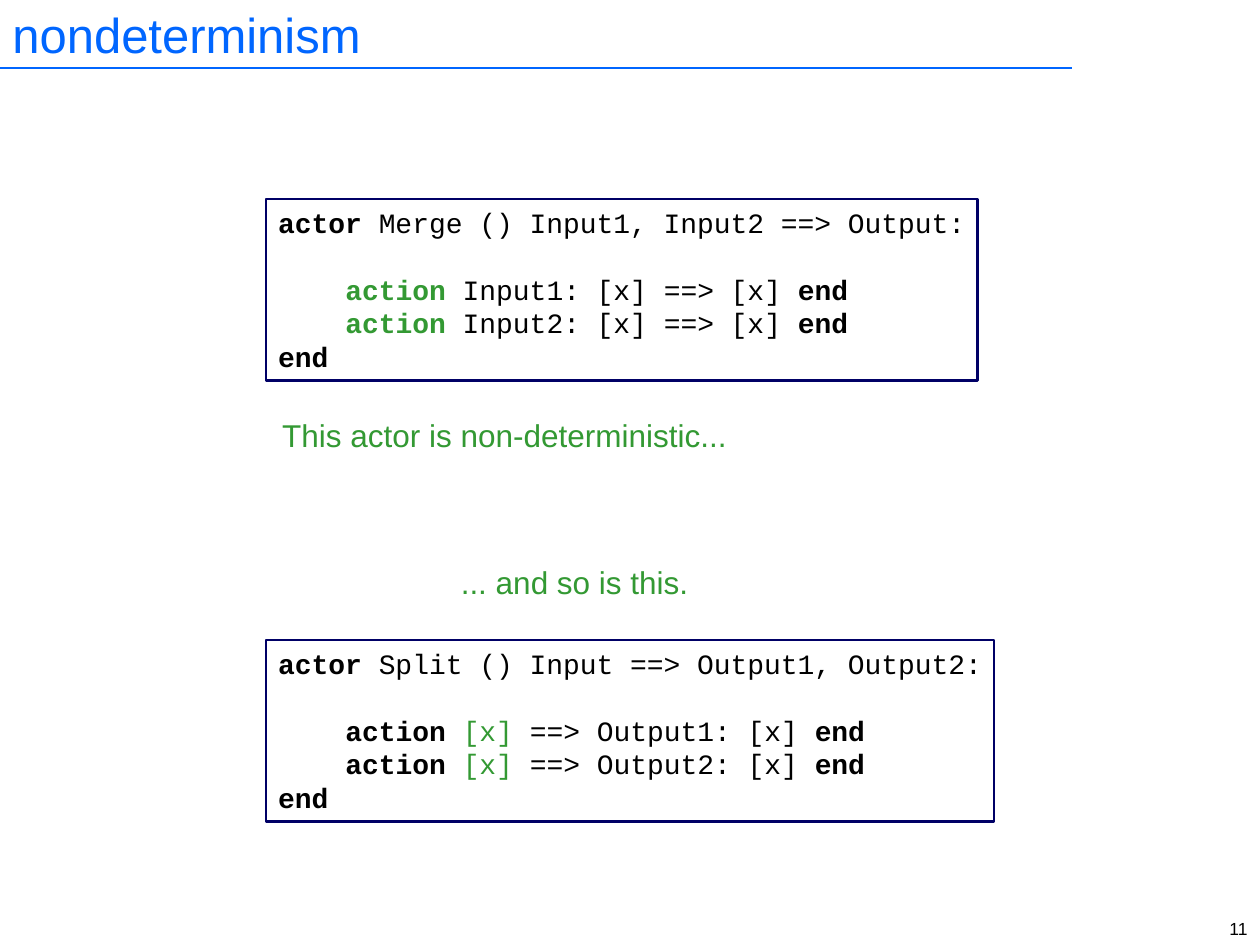
from pptx import Presentation
from pptx.dml.color import RGBColor
from pptx.enum.shapes import MSO_CONNECTOR, MSO_SHAPE
from pptx.enum.text import MSO_ANCHOR, PP_ALIGN
from pptx.oxml.ns import qn
from pptx.util import Cm, Pt
from lxml import etree

LINE, RECT = MSO_CONNECTOR.STRAIGHT, MSO_SHAPE.RECTANGLE
TOP, MID = MSO_ANCHOR.TOP, MSO_ANCHOR.MIDDLE
LEFT, RIGHT = PP_ALIGN.LEFT, PP_ALIGN.RIGHT

THEME = {
    "blue": "0066FF", "navy": "000066", "green": "339933",
    "black": "000000", "white": "FFFFFF",
    "sans": "Arial", "mono": "Courier New",
    "title": 28, "note": 18, "code": 16, "page": 10,
    "pitch": 19.2,  # height of a code line, pt
}

# Content: a run is (text, bold, colour)
END = ("end", True, "black")


def head(name):
    return [("actor ", True, "black"), (name, False, "black")]


MERGE = [head("Merge () Input1, Input2 ==> Output:")] + [
    [("action", True, "green"),
     (f" Input{n}: [x] ==> [x] ", False, "black"), END] for n in (1, 2)
] + [[END]]
SPLIT = [head("Split () Input ==> Output1, Output2:")] + [
    [("action ", True, "black"), ("[x]", False, "green"),
     (f" ==> Output{n}: [x] ", False, "black"), END] for n in (1, 2)
] + [[END]]

# Places in cm: left, top, width, height
CODES = [(MERGE, (5.36, 4.01, 14.35, 3.66)),
         (SPLIT, (5.36, 12.9, 14.68, 3.66))]
NOTES = [("... and so is this.", (9.04, 11.23, 5.23, 1.02)),
         ("This actor is non-deterministic...", (5.44, 8.26, 10.01, 1.02))]


def rgb(key):
    return RGBColor.from_string(THEME[key])


def write(frame, rows, size="note", font="sans", align=LEFT,
          anchor=TOP, wrap=False, pitch=None):
    """Fill a text frame with rows of runs; return its paragraphs."""
    frame.word_wrap = wrap
    frame.vertical_anchor = anchor
    for i, row in enumerate(rows):
        para = frame.paragraphs[0] if i == 0 else frame.add_paragraph()
        para.alignment = align
        if pitch:
            para.line_spacing = Pt(pitch)
        for text, bold, color in row:
            run = para.add_run()
            run.text = text
            run.font.name = THEME[font]
            run.font.size = Pt(THEME[size])
            run.font.bold = bold
            run.font.color.rgb = rgb(color)
    return frame.paragraphs


def label(slide, text, place, color, **style):
    box = slide.shapes.add_textbox(*map(Cm, place))
    write(box.text_frame, [[(text, False, color)]], **style)


def code(slide, rows, place):
    box = slide.shapes.add_shape(RECT, *map(Cm, place))
    box.shadow.inherit = False
    box.fill.solid()
    box.fill.fore_color.rgb = rgb("white")
    box.line.color.rgb = rgb("navy")
    box.line.width = Pt(1.5)
    pitch = THEME["pitch"]
    paras = write(box.text_frame, rows, size="code", font="mono", pitch=pitch)
    # Body lines: four characters in, one line below the head
    step = Pt(4 * 0.6 * THEME["code"])
    for para in paras[1:-1]:
        para._p.get_or_add_pPr().set("marL", str(int(step)))
    paras[1].space_before = Pt(pitch)


def main():
    deck = Presentation()
    deck.slide_width, deck.slide_height = Cm(25.4), Cm(19.05)
    slide = deck.slides.add_slide(deck.slide_layouts[6])

    # Title and its rule
    rule = slide.shapes.add_connector(LINE, Cm(0), Cm(1.37), Cm(21.62), Cm(1.37))
    rule.line.color.rgb = rgb("blue")
    rule.line.width = Pt(1)
    etree.SubElement(rule._element.spPr, qn("a:effectLst"))
    label(slide, "nondeterminism", (0, 0, 21.97, 1.35), "blue",
          size="title", anchor=MID, wrap=True)

    # Actors and remarks
    for rows, place in CODES:
        code(slide, rows, place)
    for text, place in NOTES:
        label(slide, text, place, "green")

    # Page number
    label(slide, "11", (23.04, 18.39, 2.36, 0.58), "black",
          size="page", align=RIGHT, wrap=True)
    deck.save("out.pptx")


if __name__ == "__main__":
    main()
